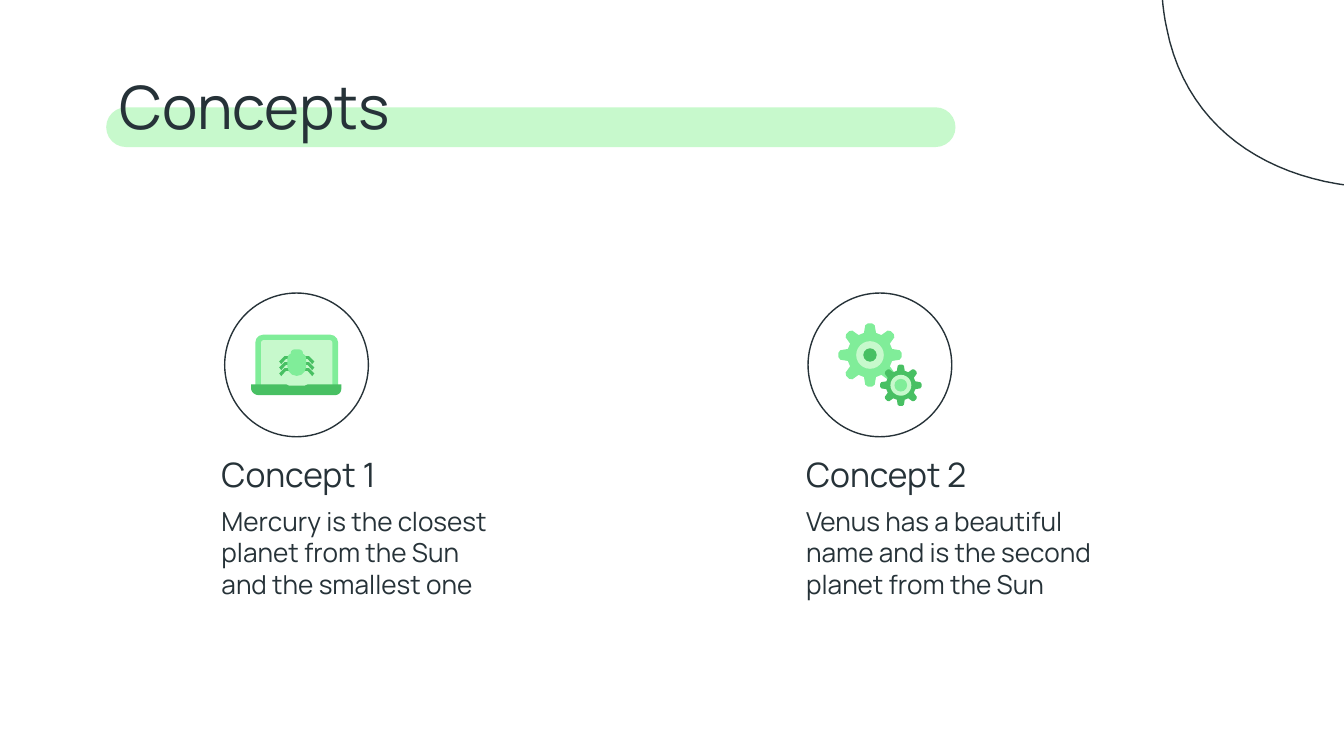
from dataclasses import dataclass
from math import cos, pi, sin

from pptx import Presentation
from pptx.dml.color import RGBColor as Color
from pptx.enum.shapes import MSO_SHAPE as Shape
from pptx.enum.text import MSO_ANCHOR as Anchor
from pptx.util import Pt


@dataclass(frozen=True)
class Theme:
    font: str = "Manrope"
    ink: str = "263238"
    pale: str = "C7F9CC"
    light: str = "80ED99"
    deep: str = "48C063"
    title: float = 32
    heading: float = 18
    body: float = 14
    line: float = 0.75


THEME = Theme()

CORNER_START = (871.9, -133.2)
CORNER_CURVES = [
    (866.2, -133.2, 859, -131, 851.8, -127.4),
    (823.7, -113, 821.5, -81.4, 783.4, -79.9),
    (779.8, -79.2, 776.2, -79.2, 772.6, -79.2),
    (754.6, -79.2, 737.3, -81.4, 721.4, -81.4),
    (702, -81.4, 682.6, -78.5, 661, -67),
    (625, -47.5, 617.8, -18.7, 625, 15.1),
    (636.5, 73.4, 686.9, 100.8, 744.5, 100.8),
    (769.7, 100.8, 795.6, 95.8, 820.1, 86.4),
    (899.3, 56.2, 936, -14.4, 918, -84.2),
    (913, -105.1, 897.8, -133.2, 871.9, -133.2),
]
LAPTOP_BASE = [
    (134.6, 205.9), (153.4, 205.9), (154.8, 206.6), (163.4, 206.6),
    (164.9, 205.9), (182.9, 205.9), (182.9, 208.1),
    (182.9, 210.3, 181.4, 211.7, 179.3, 211.7), (139, 211.7),
    (136.8, 211.7, 134.6, 210.3, 134.6, 208.1),
]
BUG_CENTER = 159
LEG = [(-6.5, 0), (-9.4, 2.9), (-8.3, 4.3), (-5.8, 1.5), (-1.4, 1.5), (-1.4, 0)]
TOOTH = [(0.7, -0.19), (0.94, -0.15), (1, -0.07), (1, 0.07), (0.94, 0.15), (0.7, 0.19)]


def paint(shape, fill=None, line=None):
    shape.shadow.inherit = False
    if fill:
        shape.fill.solid()
        shape.fill.fore_color.rgb = Color.from_string(fill)
    else:
        shape.fill.background()
    if line:
        shape.line.color.rgb = Color.from_string(line)
        shape.line.width = Pt(THEME.line)
    else:
        shape.line.fill.background()


def add_preset(shapes, kind, left, top, width, height, fill=None, line=None, corners=()):
    shape = shapes.add_shape(kind, Pt(left), Pt(top), Pt(width), Pt(height))
    for index, corner in enumerate(corners):
        shape.adjustments[index] = corner
    paint(shape, fill, line)


def add_circle(shapes, x, y, radius, fill=None, line=None):
    add_preset(shapes, Shape.OVAL, x - radius, y - radius, 2 * radius, 2 * radius, fill, line)


def bezier(start, curve, steps=24):
    (x0, y0), (x1, y1, x2, y2, x3, y3) = start, curve
    for step in range(1, steps + 1):
        t = step / steps
        a, b, c, d = (1 - t) ** 3, 3 * t * (1 - t) ** 2, 3 * t * t * (1 - t), t ** 3
        yield a * x0 + b * x1 + c * x2 + d * x3, a * y0 + b * y1 + c * y2 + d * y3


def add_outline(shapes, segments, fill=None, line=None):
    points = []
    for segment in segments:
        points.extend([segment] if len(segment) == 2 else bezier(points[-1], segment))
    vertices = [(Pt(x), Pt(y)) for x, y in points]
    builder = shapes.build_freeform(*vertices[0])
    builder.add_line_segments(vertices[1:], close=True)
    paint(builder.convert_to_shape(), fill, line)


def add_text(shapes, left, top, width, height, text, size):
    box = shapes.add_textbox(Pt(left), Pt(top), Pt(width), Pt(height))
    frame = box.text_frame
    frame.word_wrap = True
    frame.vertical_anchor = Anchor.TOP
    frame.margin_left = frame.margin_right = Pt(7.2)
    frame.margin_top = frame.margin_bottom = Pt(7.2)
    frame.text = text
    for para in frame.paragraphs:
        for span in para.runs:
            span.font.name = THEME.font
            span.font.size = Pt(size)
            span.font.color.rgb = Color.from_string(THEME.ink)


def add_gear(shapes, x, y, radius, hub, axle, colors):
    teeth = []
    for index in range(8):
        turn = index * pi / 4
        for along, across in TOOTH:
            teeth.append((
                x + radius * (along * cos(turn) - across * sin(turn)),
                y + radius * (along * sin(turn) + across * cos(turn)),
            ))
    body, ring, core = colors
    add_outline(shapes, teeth, body)
    add_circle(shapes, x, y, hub, ring)
    add_circle(shapes, x, y, axle, core)


def add_gears(slide):
    shapes = slide.shapes.add_group_shape().shapes
    add_gear(shapes, 466.1, 190.2, 16.9, 7.4, 3.6, (THEME.light, THEME.pale, THEME.deep))
    add_gear(shapes, 482.6, 206.4, 11.1, 5.6, 3.4, (THEME.deep, THEME.pale, THEME.light))


def add_laptop(slide):
    shapes = slide.shapes.add_group_shape().shapes
    rounded = Shape.ROUND_2_SAME_RECTANGLE
    add_preset(shapes, rounded, 136.8, 179.3, 44.4, 30.2, THEME.light, corners=(0.14, 0))
    add_preset(shapes, rounded, 139.9, 182.2, 38.2, 27.3, THEME.pale, corners=(0.05, 0))
    for side in (1, -1):
        for row in range(3):
            leg = [(BUG_CENTER + side * x, 190.8 + 3.2 * row + y) for x, y in LEG]
            add_outline(shapes, leg, THEME.deep)
    add_preset(shapes, rounded, 155.7, 187.2, 6.6, 4, THEME.light, corners=(0.5, 0))
    add_preset(shapes, rounded, 154, 189.4, 10, 12, THEME.light, corners=(0.25, 0.5))
    add_outline(shapes, LAPTOP_BASE, THEME.deep)


def add_concept(slide, left, circle_x, heading, body):
    shapes = slide.shapes
    add_text(shapes, left, 236.2, 188, 29.5, heading, THEME.heading)
    add_text(shapes, left, 263.5, 188, 67, body, THEME.body)
    add_circle(shapes, circle_x, 195.5, 38.5, line=THEME.ink)


def main():
    deck = Presentation()
    deck.slide_width, deck.slide_height = Pt(720), Pt(405)
    page = deck.slides.add_slide(deck.slide_layouts[6])
    add_preset(page.shapes, Shape.ROUNDED_RECTANGLE, 56.9, 57.5, 455, 21.3,
               THEME.pale, corners=(0.5,))
    add_outline(page.shapes, [CORNER_START, *CORNER_CURVES], line=THEME.ink)
    add_text(page.shapes, 56.9, 30.2, 607, 48.2, "Concepts", THEME.title)
    add_concept(page, 111.6, 158.9, "Concept 1",
                "Mercury is the closest planet from the Sun \vand the smallest one")
    add_concept(page, 424.8, 471.4, "Concept 2",
                "Venus has a beautiful name and is the second planet from the Sun")
    add_gears(page)
    add_laptop(page)
    deck.save("out.pptx")


if __name__ == "__main__":
    main()
